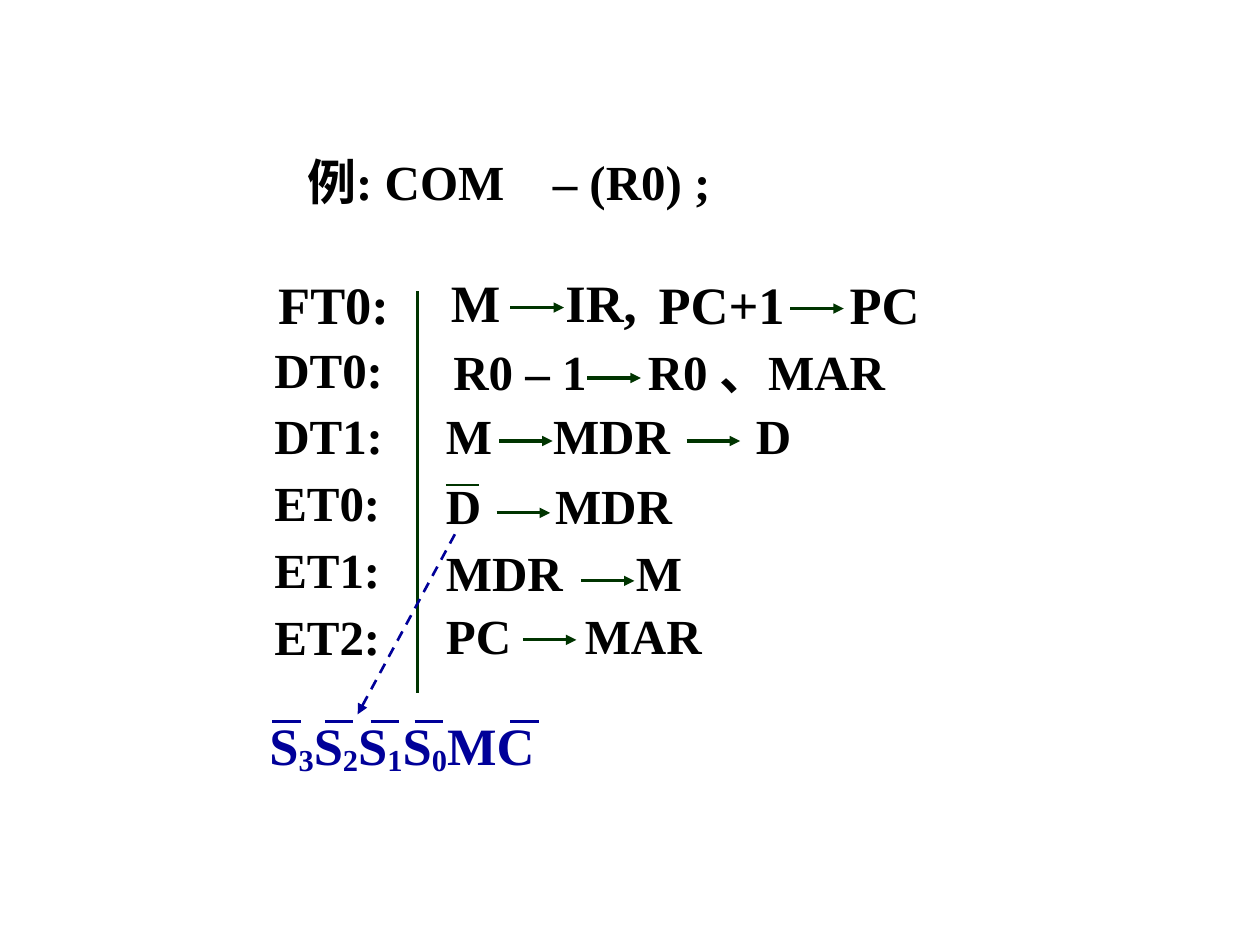
from lxml import etree
from pptx import Presentation
from pptx.dml.color import RGBColor
from pptx.enum import dml, shapes, text
from pptx.oxml import ns
from pptx.util import Cm, Pt

BLACK = RGBColor(0x00, 0x00, 0x00)
GREEN = RGBColor(0x00, 0x34, 0x00)
BLUE = RGBColor(0x00, 0x00, 0x99)
FONT = "Times New Roman"

STEP_LEFT, STEP_TOP, STEP_PITCH = 5.28, 6.71, 1.35
ARROW_LENGTH = 1.08
BAR_LENGTH = 0.57
BAR_TOP = 14.55

STEPS = ["DT0:", "DT1:", "ET0:", "ET1:", "ET2:"]
OPERATIONS = [
    ("M\tIR,", 8.84, 5.56, 5.08, 30, [2.31]),
    ("PC+1\tPC", 13.03, 5.61, 6.48, 30, [3.85]),
    ("R0 – 1\tR0", 8.89, 6.99, 7.32, 28, [3.92]),
    ("、MAR", 14.25, 6.99, 4.95, 28, []),
    ("M\tMDR\tD", 8.74, 8.28, 7.92, 28, [2.16, 6.25]),
    ("D\tMDR", 8.74, 9.7, 5.38, 28, [2.2]),
    ("MDR\tM", 8.74, 11.05, 6.43, 28, [3.83]),
    ("PC\tMAR", 8.74, 12.32, 6.1, 28, [2.8]),
]
ARROWS = [
    (10.29, 6.2), (15.93, 6.22), (11.84, 7.62), (10.06, 8.89),
    (13.84, 8.89), (10.01, 10.34), (11.71, 11.71), (10.54, 12.9),
]
SIGNAL_BARS = [5.49, 7.47, 6.55, 8.36, 10.29]


def add_span(para, words, size, color=BLACK, baseline=0):
    span = para.add_run()
    span.text = words
    span.font.name = FONT
    span.font.size = Pt(size)
    span.font.bold = True
    span.font.color.rgb = color
    if baseline:
        span._r.get_or_add_rPr().set("baseline", str(baseline * 1000))


def set_tabs(para, stops):
    if stops:
        properties = para._p.get_or_add_pPr()
        tabs = etree.SubElement(properties, ns.qn("a:tabLst"))
        for stop in stops:
            etree.SubElement(tabs, ns.qn("a:tab"), pos=str(Cm(stop)), algn="l")


def add_box(page, left, top, width, height):
    box = page.shapes.add_textbox(Cm(left), Cm(top), Cm(width), Cm(height))
    box.text_frame.word_wrap = True
    return box.text_frame.paragraphs[0]


def add_label(page, words, left, top, width, size):
    add_span(add_box(page, left, top, width, 1.45), words, size)


def add_operation(page, words, left, top, width, size, stops):
    para = add_box(page, left, top, width, 1.25)
    para.line_spacing = 0.8
    set_tabs(para, stops)
    add_span(para, words, size)


def add_line(page, start, end, color, width=1.5, dashed=False, arrow=False):
    line = page.shapes.add_connector(
        shapes.MSO_CONNECTOR.STRAIGHT, *map(Cm, start), *map(Cm, end))
    line.line.color.rgb = color
    line.line.width = Pt(width)
    if dashed:
        line.line.dash_style = dml.MSO_LINE.DASH
    if arrow:
        outline = line.line._get_or_add_ln()
        etree.SubElement(outline, ns.qn("a:tailEnd"), type="triangle")
    etree.SubElement(line._element.spPr, ns.qn("a:effectLst"))


def add_title(page):
    title = page.shapes.title
    title.left, title.top = Cm(5.94), Cm(2.92)
    title.width, title.height = Cm(10.24), Cm(1.45)
    frame = title.text_frame
    frame.word_wrap = True
    frame.auto_size = text.MSO_AUTO_SIZE.NONE
    frame.vertical_anchor = text.MSO_ANCHOR.TOP
    para = frame.paragraphs[0]
    para.alignment = text.PP_ALIGN.LEFT
    set_tabs(para, [4.95])
    add_span(para, "例: COM\t– (R0) ;", 28)


def add_signals(page):
    para = add_box(page, 5.18, 14.25, 7.29, 1.55)
    for index in "3210":
        add_span(para, "S", 30, BLUE)
        add_span(para, index, 30, BLUE, -12)
    add_span(para, "MC", 30, BLUE)
    for left in SIGNAL_BARS:
        add_line(page, (left, BAR_TOP), (left + BAR_LENGTH, BAR_TOP), BLUE)


def main():
    deck = Presentation()
    deck.slide_width, deck.slide_height = Cm(25.4), Cm(19.05)
    page = deck.slides.add_slide(deck.slide_layouts[5])
    add_title(page)
    add_label(page, "FT0:", 5.36, 5.36, 3.18, 30)
    for row, step in enumerate(STEPS):
        add_label(page, step, STEP_LEFT, STEP_TOP + row * STEP_PITCH, 3.4, 28)
    for operation in OPERATIONS:
        add_operation(page, *operation)
    for left, top in ARROWS:
        add_line(page, (left, top), (left + ARROW_LENGTH, top), GREEN, 1.75, arrow=True)
    add_line(page, (8.99, 9.78), (9.65, 9.78), GREEN)
    add_line(page, (8.41, 5.87), (8.41, 13.97), GREEN)
    add_line(page, (9.17, 10.77), (7.21, 14.4), BLUE, dashed=True, arrow=True)
    add_signals(page)
    deck.save("out.pptx")


if __name__ == "__main__":
    main()
